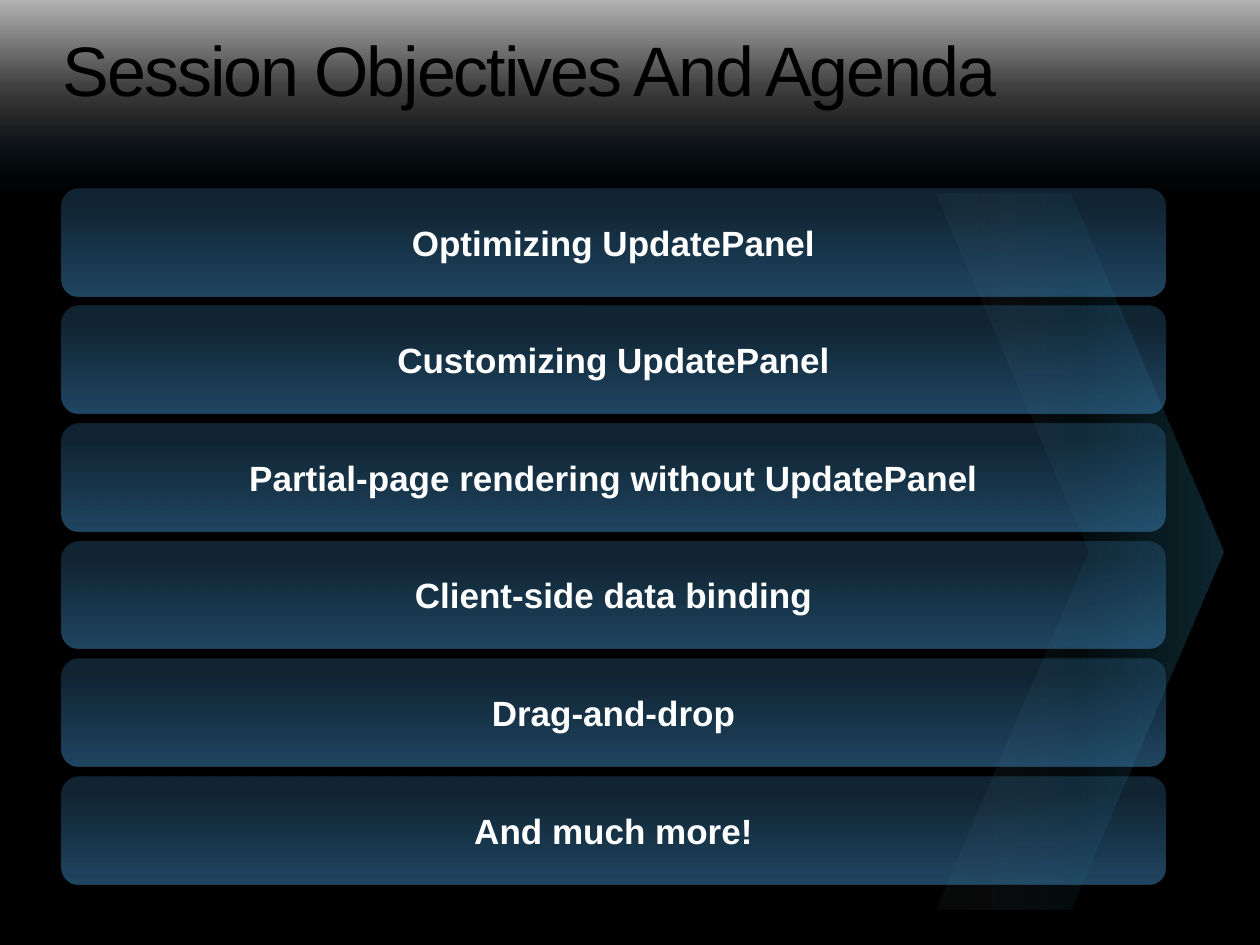
from dataclasses import dataclass

from lxml import etree
from pptx import Presentation
from pptx import util as u
from pptx.dml.color import RGBColor
from pptx.enum import shapes, text
from pptx.oxml import parse_xml
from pptx.oxml.ns import nsdecls, qn


@dataclass(frozen=True)
class Theme:
    font: str = "Arial"
    background: str = "000000"
    title_color: str = "000000"
    bar_color: str = "FFFFFF"
    title_size: int = 40
    bar_size: int = 20
    # Gradient stops: position %, colour, opacity %
    header_stops: tuple = ((0, "0070C0", 0), (41, "FFFFFF", 15),
                           (56, "FFFFFF", 25), (100, "FFFFFF", 70))
    arrow_stops: tuple = ((0, "27728D", 34), (50, "27728D", 9), (100, "E1E8ED", 3))
    bar_stops: tuple = ((0, "3778A7", 58), (87, "3778A7", 29))


TOPICS = [
    "Optimizing UpdatePanel",
    "Customizing UpdatePanel",
    "Partial-page rendering without UpdatePanel",
    "Client-side data binding",
    "Drag-and-drop",
    "And much more!",
]


def set_all(target, values):
    for name, value in values.items():
        setattr(target, name, value)


class AgendaPage:
    """Holds the theme and the current slide."""

    def __init__(self, page, theme):
        self.page, self.theme = page, theme
        fill = page.background.fill
        fill.solid()
        fill.fore_color.rgb = RGBColor.from_string(theme.background)

    def gradient_shape(self, kind, box, stops, angle):
        shape = self.page.shapes.add_shape(kind, *map(u.Cm, box))
        shape.shadow.inherit = False
        shape.line.fill.background()
        shape.fill.background()
        stop_xml = "".join(
            f'<a:gs pos="{position * 1000}"><a:srgbClr val="{color}">'
            f'<a:alpha val="{opacity * 1000}"/></a:srgbClr></a:gs>'
            for position, color, opacity in stops)
        gradient = parse_xml(
            f'<a:gradFill {nsdecls("a")} rotWithShape="1"><a:gsLst>{stop_xml}</a:gsLst>'
            f'<a:lin ang="{angle * 60000}" scaled="0"/></a:gradFill>')
        properties = shape.element.spPr
        properties.replace(properties.find(qn("a:noFill")), gradient)
        return shape

    def header(self, box):
        band = self.gradient_shape(shapes.MSO_SHAPE.RECTANGLE, box,
                                   self.theme.header_stops, 270)
        effects = band.element.spPr.find(qn("a:effectLst"))
        shadow = etree.SubElement(effects, qn("a:outerShdw"), blurRad=str(u.Pt(3.1)),
                                  dist=str(u.Pt(2)), dir="5400000", rotWithShape="0")
        color = etree.SubElement(shadow, qn("a:srgbClr"), val="000000")
        etree.SubElement(color, qn("a:alpha"), val="38000")

    def arrow(self, box):
        chevron = self.gradient_shape(shapes.MSO_SHAPE.CHEVRON, box,
                                      self.theme.arrow_stops, 180)
        chevron.adjustments[0] = 0.53

    def add_words(self, frame, words, size, color, bold, align):
        para = frame.paragraphs[0]
        para.alignment = align
        span = para.add_run()
        span.text = words
        set_all(span.font, {"name": self.theme.font, "size": u.Pt(size), "bold": bold})
        span.font.color.rgb = RGBColor.from_string(color)
        return para

    def bar(self, box, words):
        shape = self.gradient_shape(shapes.MSO_SHAPE.ROUNDED_RECTANGLE, box,
                                    self.theme.bar_stops, 270)
        set_all(shape.text_frame, {
            "word_wrap": True, "vertical_anchor": text.MSO_ANCHOR.MIDDLE,
            "margin_left": u.Cm(0.3), "margin_right": u.Cm(0.3),
            "margin_top": u.Cm(0.15), "margin_bottom": u.Cm(0.15)})
        self.add_words(shape.text_frame, words, self.theme.bar_size,
                       self.theme.bar_color, True, text.PP_ALIGN.CENTER)

    def title(self, box, words):
        heading = self.page.shapes.add_textbox(*map(u.Cm, box))
        heading.text_frame.word_wrap = True
        para = self.add_words(heading.text_frame, words, self.theme.title_size,
                              self.theme.title_color, False, text.PP_ALIGN.LEFT)
        para.line_spacing = 0.9
        for properties in heading.element.iter(qn("a:rPr")):
            properties.set("spc", "-120")


def main():
    deck = Presentation()
    set_all(deck, {"slide_width": u.Cm(25.4), "slide_height": u.Cm(19.05)})
    agenda = AgendaPage(deck.slides.add_slide(deck.slide_layouts[6]), Theme())

    agenda.header((0, 0, 25.4, 3.91))
    agenda.arrow((18.87, 3.91, 5.79, 14.43))
    first_top, pitch = 3.8, 2.37
    for row, topic in enumerate(TOPICS):
        agenda.bar((1.24, first_top + row * pitch, 22.26, 2.17), topic)
    agenda.title((1.02, 0.61, 23.29, 1.7), "Session Objectives And Agenda")

    deck.save("out.pptx")


if __name__ == "__main__":
    main()
